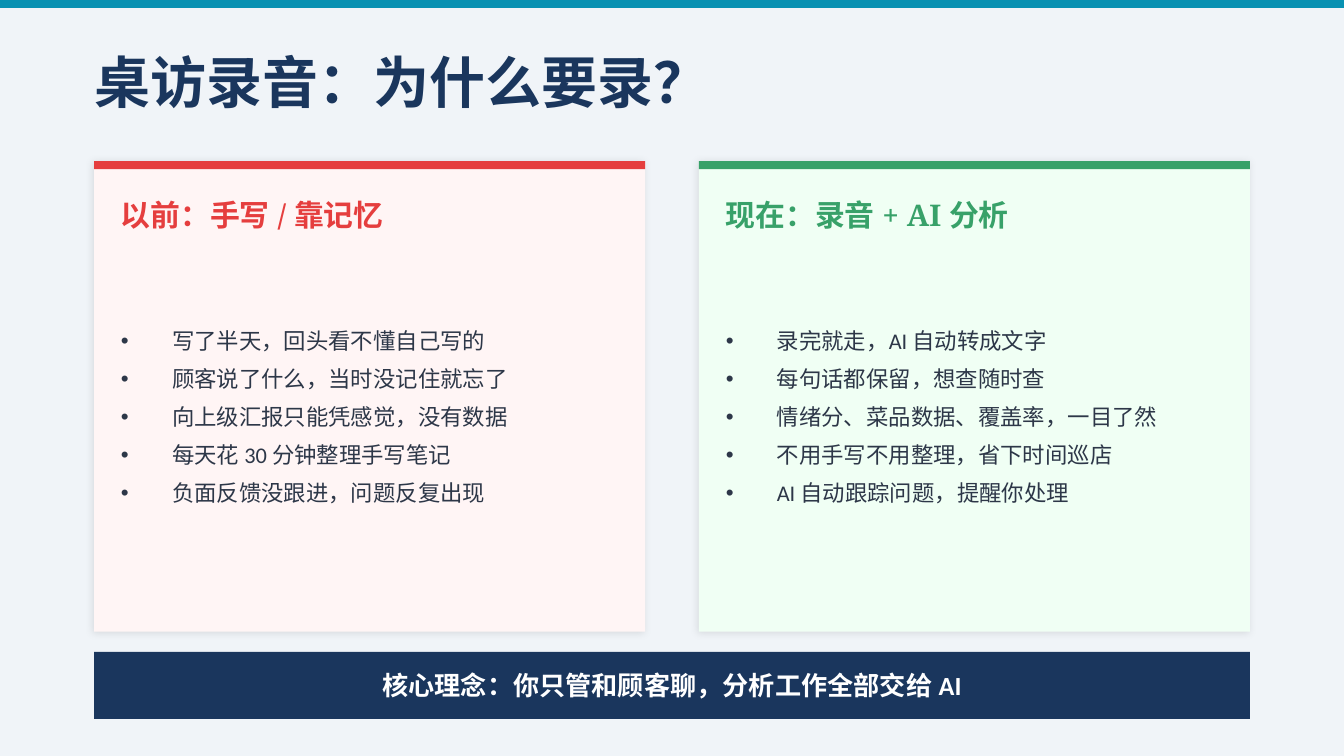
import pptx
import pptx.dml.color
import pptx.enum.shapes
import pptx.enum.text
import pptx.oxml
import pptx.oxml.ns
import pptx.util

Inches = pptx.util.Inches
Points = pptx.util.Pt
Align = pptx.enum.text.PP_ALIGN

COLORS = {
    "background": "F0F4F8",
    "teal": "0891B2",
    "navy": "1A365D",
    "red": "E53E3E",
    "pink": "FFF5F5",
    "green": "38A169",
    "mint": "F0FFF4",
    "body": "2D3748",
    "white": "FFFFFF",
}
TITLE = "桌访录音：为什么要录？"
CARDS = [
    {
        "heading": "以前：手写 / 靠记忆",
        "accent": "red",
        "fill": "pink",
        "points": [
            "写了半天，回头看不懂自己写的",
            "顾客说了什么，当时没记住就忘了",
            "向上级汇报只能凭感觉，没有数据",
            "每天花 30 分钟整理手写笔记",
            "负面反馈没跟进，问题反复出现",
        ],
    },
    {
        "heading": "现在：录音 + AI 分析",
        "accent": "green",
        "fill": "mint",
        "points": [
            "录完就走，AI 自动转成文字",
            "每句话都保留，想查随时查",
            "情绪分、菜品数据、覆盖率，一目了然",
            "不用手写不用整理，省下时间巡店",
            "AI 自动跟踪问题，提醒你处理",
        ],
    },
]
MESSAGE = "核心理念：你只管和顾客聊，分析工作全部交给 AI"

FORMATS = {
    "title": {"name": "Noto Serif", "size": Points(30), "bold": True},
    "heading": {"name": "Noto Serif", "size": Points(16), "bold": True},
    "points": {"name": "Calibri", "size": Points(12), "bold": False},
    "message": {"name": "Calibri", "size": Points(14), "bold": True},
}
FRAME = {
    "margin_left": 0,
    "margin_top": 0,
    "margin_right": 0,
    "margin_bottom": 0,
    "word_wrap": True,
    "auto_size": pptx.enum.text.MSO_AUTO_SIZE.NONE,
    "vertical_anchor": pptx.enum.text.MSO_ANCHOR.MIDDLE,
}

SLIDE_WIDTH = 10
SLIDE_HEIGHT = SLIDE_WIDTH * 9 / 16
MARGIN, GAP, PADDING = 0.7, 0.4, 0.2
CONTENT_WIDTH = SLIDE_WIDTH - 2 * MARGIN
CARD_TOP, CARD_HEIGHT, STRIPE = 1.2, 3.5, 0.06
CARD_WIDTH = (CONTENT_WIDTH - GAP) / 2
BULLET_INDENT = 0.38


def rgb(color):
    return pptx.dml.color.RGBColor.from_string(COLORS[color])


def add_child(parent, tag, **attributes):
    child = pptx.oxml.ns.qn(tag)
    element = parent.makeelement(child, attributes)
    parent.append(element)
    return element


def add_box(page, place, color):
    box = page.shapes.add_shape(
        pptx.enum.shapes.MSO_SHAPE.RECTANGLE, *map(Inches, place))
    box.shadow.inherit = False
    box.fill.solid()
    box.fill.fore_color.rgb = rgb(color)
    box.line.fill.background()
    return box


def add_soft_shadow(box):
    effects = box._element.spPr.find(pptx.oxml.ns.qn("a:effectLst"))
    shadow = add_child(
        effects, "a:outerShdw", blurRad=str(Points(4)), dist=str(Points(1)),
        dir=str(135 * 60000), algn="bl", rotWithShape="0")
    tint = add_child(shadow, "a:srgbClr", val="000000")
    add_child(tint, "a:alpha", val="10000")


def write(box, lines, style, color, align=Align.LEFT, bulleted=False):
    frame = box.text_frame
    for name, value in FRAME.items():
        setattr(frame, name, value)
    frame.text = "\n".join(lines)
    for para in frame.paragraphs:
        para.alignment = align
        para.space_before = Points(0)
        para.space_after = Points(6 if bulleted else 0)
        if bulleted:
            properties = para._p.get_or_add_pPr()
            properties.set("marL", str(Inches(BULLET_INDENT)))
            properties.set("indent", str(-Inches(BULLET_INDENT)))
            add_child(properties, "a:buChar", char="•")
        for span in para.runs:
            for name, value in FORMATS[style].items():
                setattr(span.font, name, value)
            span.font.color.rgb = rgb(color)
            add_child(span._r.get_or_add_rPr(), "a:ea", typeface=span.font.name)


def place_holder(page, index, place):
    box = page.placeholders[index]
    box.left, box.top, box.width, box.height = map(Inches, place)
    page.shapes._spTree.append(box._element)
    return box


def add_card(page, number, card):
    left = MARGIN + number * (CARD_WIDTH + GAP)
    text_left = left + PADDING
    text_width = CARD_WIDTH - 2 * PADDING
    panel = add_box(page, (left, CARD_TOP, CARD_WIDTH, CARD_HEIGHT), card["fill"])
    add_soft_shadow(panel)
    add_box(page, (left, CARD_TOP, CARD_WIDTH, STRIPE), card["accent"])
    heading = place_holder(
        page, 2 * number + 1, (text_left, CARD_TOP + PADDING, text_width, 0.4))
    write(heading, [card["heading"]], "heading", card["accent"])
    points = place_holder(page, 2 * number + 2, (text_left, 2, text_width, 2.2))
    write(points, card["points"], "points", "body", bulleted=True)


def main():
    deck = pptx.Presentation()
    deck.slide_width = Inches(SLIDE_WIDTH)
    deck.slide_height = Inches(SLIDE_HEIGHT)
    page = deck.slides.add_slide(deck.slide_layouts.get_by_name("Comparison"))
    page.background.fill.solid()
    page.background.fill.fore_color.rgb = rgb("background")

    add_box(page, (0, 0, SLIDE_WIDTH, STRIPE), "teal")
    title = place_holder(page, 0, (MARGIN, 0.3, CONTENT_WIDTH, 0.6))
    write(title, [TITLE], "title", "navy")
    for number, card in enumerate(CARDS):
        add_card(page, number, card)
    banner = add_box(page, (MARGIN, 4.85, CONTENT_WIDTH, 0.5), "navy")
    write(banner, [MESSAGE], "message", "white", Align.CENTER)
    deck.save("out.pptx")


if __name__ == "__main__":
    main()
